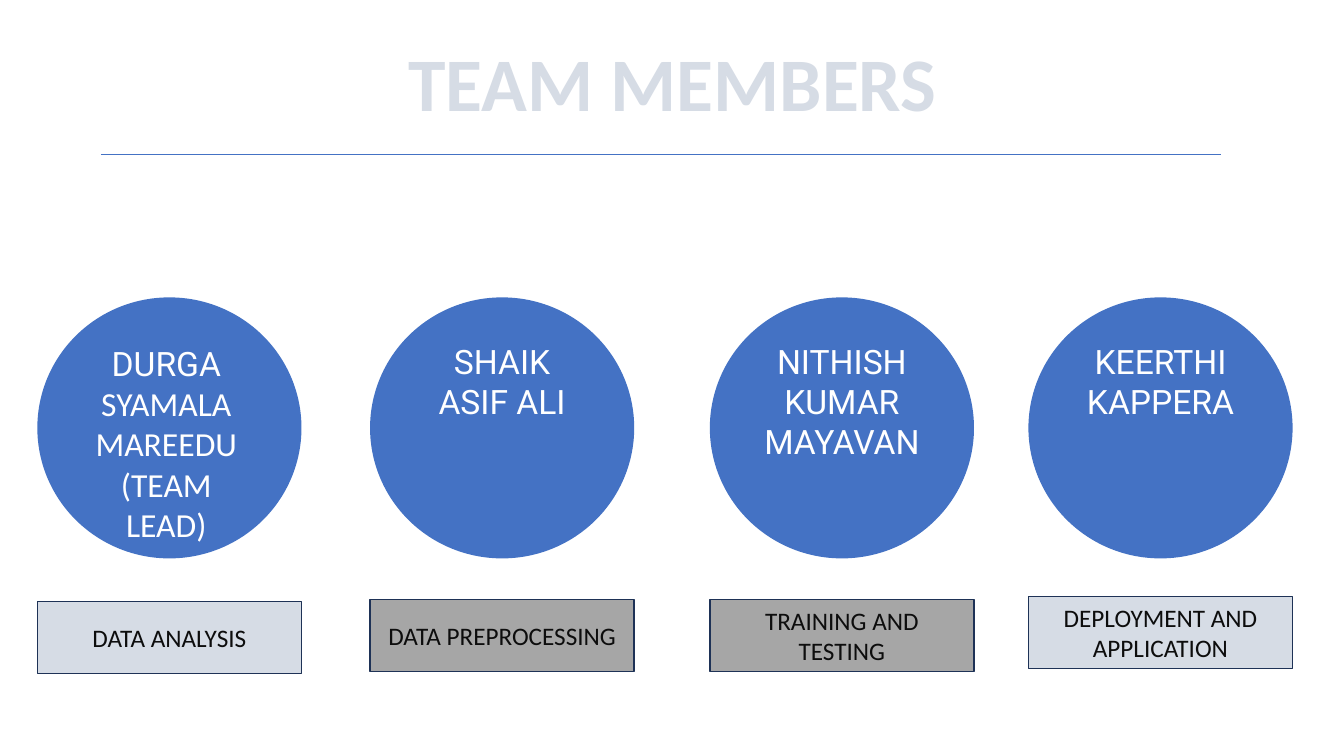
from pptx import Presentation
from pptx.dml.color import RGBColor
from pptx.enum.shapes import MSO_CONNECTOR, MSO_SHAPE
from pptx.enum.text import MSO_ANCHOR, MSO_AUTO_SIZE, PP_ALIGN
from pptx.oxml import parse_xml
from pptx.oxml.ns import nsdecls
from pptx.util import Emu, Pt

OVAL, RECTANGLE = MSO_SHAPE.OVAL, MSO_SHAPE.RECTANGLE
STRAIGHT = MSO_CONNECTOR.STRAIGHT
TOP, MIDDLE = MSO_ANCHOR.TOP, MSO_ANCHOR.MIDDLE
CENTER = PP_ALIGN.CENTER
NO_FIT = MSO_AUTO_SIZE.NONE

BLUE = RGBColor(0x44, 0x72, 0xC4)
NAVY = RGBColor(0x1E, 0x32, 0x56)
PALE = RGBColor(0xD6, 0xDC, 0xE5)
GRAY = RGBColor(0xA6, 0xA6, 0xA6)
INK = RGBColor(0x0D, 0x0D, 0x0D)
WHITE = RGBColor(0xFF, 0xFF, 0xFF)

EMU_PER_PX = 9144
BODY_FONT, NAME_FONT = "Calibri", "Roboto"
CARD_WIDTH = 262
CIRCLE_TOP, CIRCLE_HEIGHT = 295, 259
ROLE_HEIGHT = 71

MEMBERS = [
    (37, "SHAIK ASIF ALI", "DATA PREPROCESSING", 367, 595, GRAY),
]
MEMBERS = [
    (37, "", "DATA ANALYSIS", 597, PALE),
    (367, "SHAIK ASIF ALI", "DATA PREPROCESSING", 595, GRAY),
    (704, "NITHISH KUMAR MAYAVAN", "TRAINING AND TESTING", 595, GRAY),
    (1020, "KEERTHI KAPPERA", "DEPLOYMENT AND APPLICATION", 592, PALE),
]


def px(value):
    return Emu(value * EMU_PER_PX)


class TeamSlide:
    """Draw styled elements on one slide, with lengths in px."""

    def __init__(self, presentation):
        self.slide = presentation.slides.add_slide(presentation.slide_layouts[5])

    def style(self, run, font, size, color, bold=False):
        run.font.name = font
        run.font.size = Pt(size)
        run.font.bold = bold
        run.font.color.rgb = color

    def title(self, text, *box):
        shape = self.slide.shapes.title
        shape.left, shape.top, shape.width, shape.height = map(px, box)
        frame = shape.text_frame
        frame.text = text
        frame.word_wrap = False
        frame.auto_size = NO_FIT
        frame.vertical_anchor = MIDDLE
        paragraph = frame.paragraphs[0]
        paragraph.alignment = CENTER
        self.style(paragraph.runs[0], BODY_FONT, 54, PALE, bold=True)

    def rule(self, left, top, right):
        line = self.slide.shapes.add_connector(
            STRAIGHT, px(left), px(top), px(right), px(top))
        line.line.color.rgb = BLUE
        line.line.width = Pt(0.5)
        line._element.spPr.append(parse_xml(f"<a:effectLst {nsdecls('a')}/>"))

    def block(self, kind, box, fill, text, font, size, color, anchor, outline=None):
        shape = self.slide.shapes.add_shape(kind, *map(px, box))
        shape.shadow.inherit = False
        shape.fill.solid()
        shape.fill.fore_color.rgb = fill
        if outline is None:
            shape.line.fill.background()
        else:
            shape.line.color.rgb = outline
            shape.line.width = Pt(1)
        if text:
            frame = shape.text_frame
            frame.text = text
            frame.word_wrap = True
            frame.vertical_anchor = anchor
            paragraph = frame.paragraphs[0]
            paragraph.alignment = CENTER
            self.style(paragraph.runs[0], font, size, color)

    def circle(self, left, name):
        box = (left, CIRCLE_TOP, CARD_WIDTH, CIRCLE_HEIGHT)
        self.block(OVAL, box, BLUE, name, NAME_FONT, 24, WHITE, TOP)

    def role(self, left, top, text, fill):
        box = (left, top, CARD_WIDTH, ROLE_HEIGHT)
        self.block(RECTANGLE, box, fill, text, BODY_FONT, 18, INK, MIDDLE, NAVY)

    def lead_name(self, first, rest, margin_top, *box):
        frame = self.slide.shapes.add_textbox(*map(px, box)).text_frame
        frame.word_wrap = True
        frame.margin_top = px(margin_top)
        paragraph = frame.paragraphs[0]
        paragraph.alignment = CENTER
        for text, font in ((first, NAME_FONT), (rest, BODY_FONT)):
            run = paragraph.add_run()
            run.text = text
            self.style(run, font, 24, WHITE)


def main():
    presentation = Presentation()
    presentation.slide_width = px(1333)
    presentation.slide_height = px(750)
    team = TeamSlide(presentation)
    team.title("TEAM MEMBERS", 392, 30, 550, 101)
    team.rule(100, 153, 1211)
    for left, name, role, role_top, fill in MEMBERS:
        team.circle(left, name)
        team.role(left, role_top, role, fill)
    team.lead_name("DURGA", " SYAMALA MAREEDU(TEAM LEAD)", 45,
                   82, CIRCLE_TOP, 166, 252)
    presentation.save("out.pptx")


if __name__ == "__main__":
    main()
